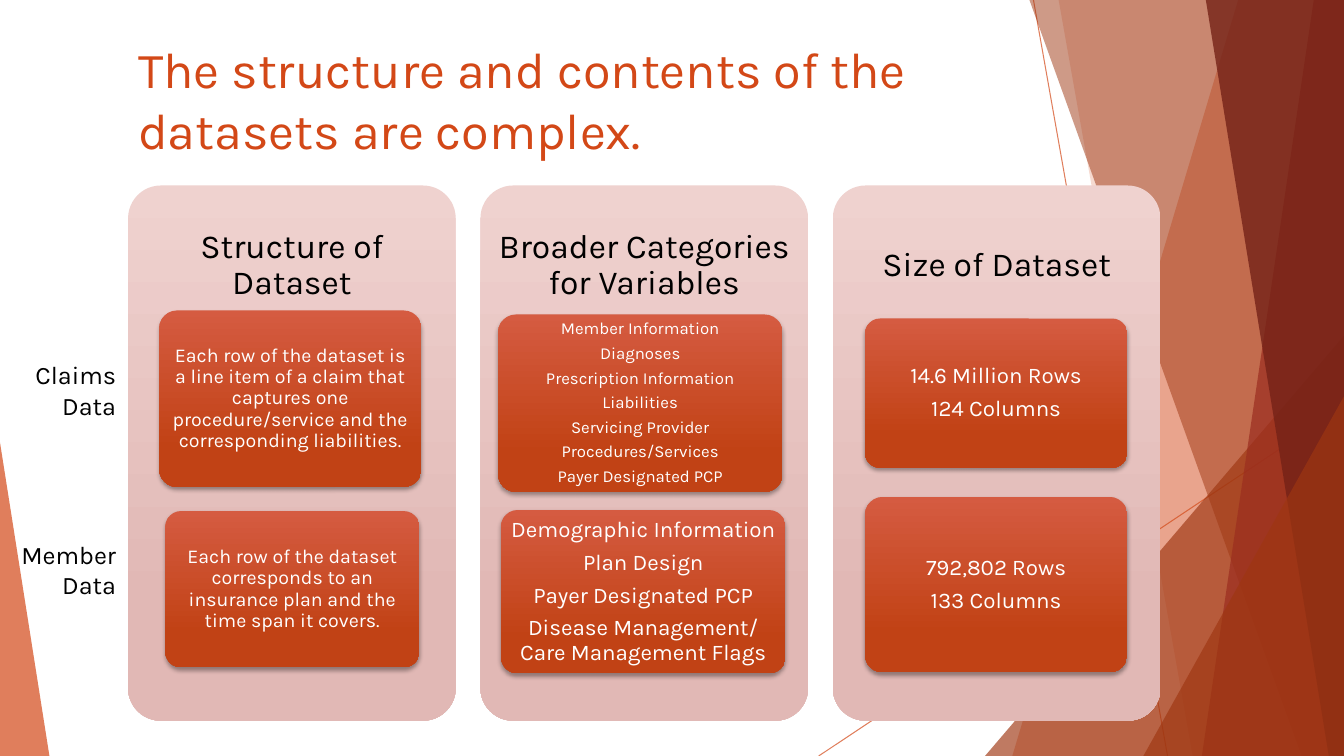
"""Build the slide on the structure and contents of the claims and member datasets."""
from lxml import etree
from pptx import Presentation
from pptx.dml.color import RGBColor
from pptx.enum.shapes import MSO_CONNECTOR, MSO_SHAPE
from pptx.enum.text import MSO_ANCHOR, PP_ALIGN
from pptx.oxml.ns import qn
from pptx.util import Inches, Pt

ROUNDED, TRIANGLE = MSO_SHAPE.ROUNDED_RECTANGLE, MSO_SHAPE.ISOSCELES_TRIANGLE
STRAIGHT = MSO_CONNECTOR.STRAIGHT
TOP, MIDDLE = MSO_ANCHOR.TOP, MSO_ANCHOR.MIDDLE
LEFT, CENTER, RIGHT = PP_ALIGN.LEFT, PP_ALIGN.CENTER, PP_ALIGN.RIGHT

FONT = "Karla"
ORANGE, BROWN, BLACK, WHITE = "D34817", "9E3611", "000000", "FFFFFF"
PANEL_COLORS = ("EFD2CF", "E1B8B5")
CARD_COLORS = ("D55B41", "C14215")
SLIDE_W, SLIDE_H = 13.33, 7.5
PANEL_LEFT, PANEL_TOP, PANEL_W, PANEL_H = 1.27, 1.84, 3.25, 5.31
PANEL_STEP, HEADING_H = 3.495, 1.59

TITLE = "The structure and contents of the datasets are complex."
COLUMNS = [
    ("Structure of Dataset", [
        ((1.58, 3.08, 2.6, 1.75), 14, [
            "Each row of the dataset is a line item of a claim that captures one "
            "procedure/service and the corresponding liabilities."]),
        ((1.64, 5.07, 2.52, 1.55), 14, [
            "Each row of the dataset corresponds to an insurance plan and the "
            "time span it covers."]),
    ]),
    ("Broader Categories for Variables", [
        ((4.94, 3.12, 2.82, 1.76), 12, [
            "Member Information", "Diagnoses", "Prescription Information",
            "Liabilities", "Servicing Provider", "Procedures/Services",
            "Payer Designated PCP"]),
        ((4.97, 5.06, 2.82, 1.62), 16, [
            "Demographic Information", "Plan Design", "Payer Designated PCP",
            "Disease Management/ Care Management Flags"]),
    ]),
    ("Size of Dataset", [
        ((8.58, 3.16, 2.6, 1.48), 16, ["14.6 Million Rows", "124 Columns"]),
        ((8.58, 4.93, 2.6, 1.74), 16, ["792,802 Rows", "133 Columns"]),
    ]),
]
ROW_LABELS = [("Claims Data", 3.52), ("Member Data", 5.3)]

RAYS = [(10.25, 0, 11.58, SLIDE_H), (SLIDE_W, 4.03, 8.12, SLIDE_H)]
BANDS = [
    (12.28, 10.04, ORANGE, 36),
    (10.5, 11.83, ORANGE, 20),
    ((9.77, 3.33, 3.56, 4.17), 1, BROWN, 66),
    (10.21, 12.91, BROWN, 50),
    (13.03, 11.92, "9B2D1F", 70),
    (11.96, 13.18, "742217", 80),
    ((11.34, 3.93, 1.99, 3.57), 1, BROWN, 66),
    ((0, 4.39, 0.49, 3.11), 0, ORANGE, 70),
]


def paint(color, value):
    color.rgb = RGBColor.from_string(value)


def fade(element, percent):
    for srgb in element.iter(qn("a:srgbClr")):
        etree.SubElement(srgb, qn("a:alpha")).set("val", str(percent * 1000))


def box(left, top, width, height):
    return [Inches(length) for length in (left, top, width, height)]


def write(frame, lines, size, color, align, anchor=MIDDLE, insets=(0.1, 0.05), tight=False):
    frame.word_wrap = True
    frame.vertical_anchor = anchor
    frame.margin_left = frame.margin_right = Inches(insets[0])
    frame.margin_top = frame.margin_bottom = Inches(insets[1])
    for index, line in enumerate(lines):
        paragraph = frame.add_paragraph() if index else frame.paragraphs[0]
        paragraph.text = line
        paragraph.alignment = align
        paragraph.font.name = FONT
        paragraph.font.size = Pt(size)
        paint(paragraph.font.color, color)
        if tight:
            paragraph.line_spacing = 0.9
            paragraph.space_after = Pt(round(size * 0.38, 1))


def add_rounded(shapes, place, colors):
    shape = shapes.add_shape(ROUNDED, *box(*place))
    shape.adjustments[0] = 0.1
    shape.shadow.inherit = False
    shape.line.fill.background()
    shape.fill.gradient()
    shape.fill.gradient_angle = 270
    for stop, position, value in zip(shape.fill.gradient_stops, (0, 0.78), colors):
        stop.position = position
        paint(stop.color, value)
    return shape


def add_drop_shadow(shape):
    effects = shape._element.spPr.find(qn("a:effectLst"))
    shadow = etree.SubElement(effects, qn("a:outerShdw"), blurRad=str(Pt(3)),
                              dist=str(Pt(2)), dir="5400000", rotWithShape="0")
    etree.SubElement(shadow, qn("a:srgbClr"), val=BLACK)
    fade(shadow, 35)


def add_backdrop(shapes):
    for x1, y1, x2, y2 in RAYS:
        ray = shapes.add_connector(STRAIGHT, *box(x1, y1, x2, y2))
        ray.line.width = Pt(0.75)
        paint(ray.line.color, ORANGE)
        fade(ray._element.spPr, 70)
        etree.SubElement(ray._element.spPr, qn("a:effectLst"))
    for start, end, value, opacity in BANDS:
        if isinstance(start, tuple):
            band = shapes.add_shape(TRIANGLE, *box(*start))
            band.adjustments[0] = end
        else:
            outline = shapes.build_freeform(Inches(start), 0)
            corners = [(SLIDE_W, 0), (SLIDE_W, SLIDE_H), (end, SLIDE_H)]
            outline.add_line_segments([(Inches(x), Inches(y)) for x, y in corners])
            band = outline.convert_to_shape()
        band.shadow.inherit = False
        band.line.fill.background()
        band.fill.solid()
        paint(band.fill.fore_color, value)
        fade(band._element.spPr, opacity)


def main():
    deck = Presentation()
    deck.slide_width, deck.slide_height = Inches(SLIDE_W), Inches(SLIDE_H)
    slide = deck.slides.add_slide(deck.slide_layouts[5])
    shapes = slide.shapes
    add_backdrop(shapes)

    title = shapes.title
    title.left, title.top, title.width, title.height = box(1.27, 0.33, 9.4, 1.44)
    write(title.text_frame, [TITLE], 36, ORANGE, LEFT, TOP)

    for index, (heading, cards) in enumerate(COLUMNS):
        left = PANEL_LEFT + index * PANEL_STEP
        add_rounded(shapes, (left, PANEL_TOP, PANEL_W, PANEL_H), PANEL_COLORS)
        heading_box = shapes.add_textbox(*box(left, PANEL_TOP, PANEL_W, HEADING_H))
        write(heading_box.text_frame, [heading], 24, BLACK, CENTER,
              insets=(0.1, 0.1), tight=True)
        for place, size, lines in cards:
            card = add_rounded(shapes, place, CARD_COLORS)
            add_drop_shadow(card)
            write(card.text_frame, lines, size, WHITE, CENTER,
                  insets=(0.03, 0.03), tight=True)

    for label, top in ROW_LABELS:
        row_label = shapes.add_textbox(*box(0.05, top, 1.2, 0.71))
        write(row_label.text_frame, [label], 18, BLACK, RIGHT, TOP)

    deck.save("out.pptx")


if __name__ == "__main__":
    main()
